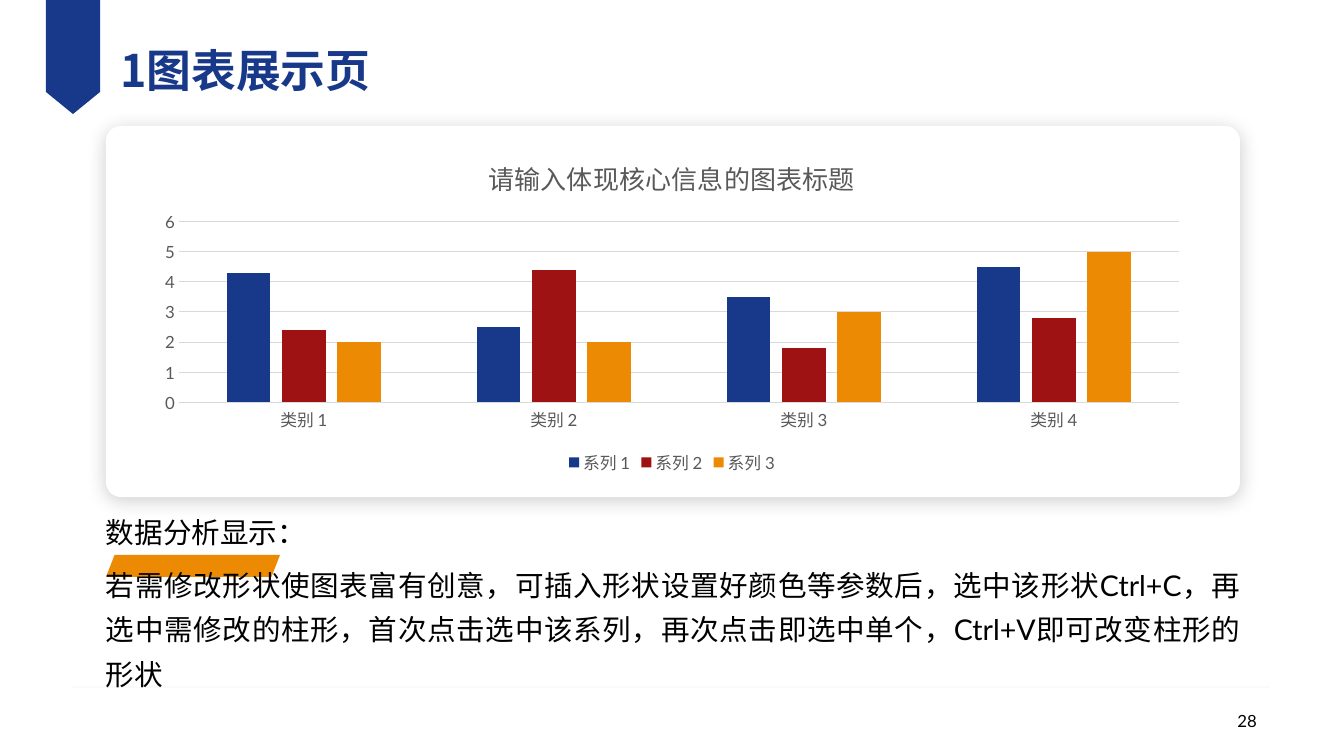
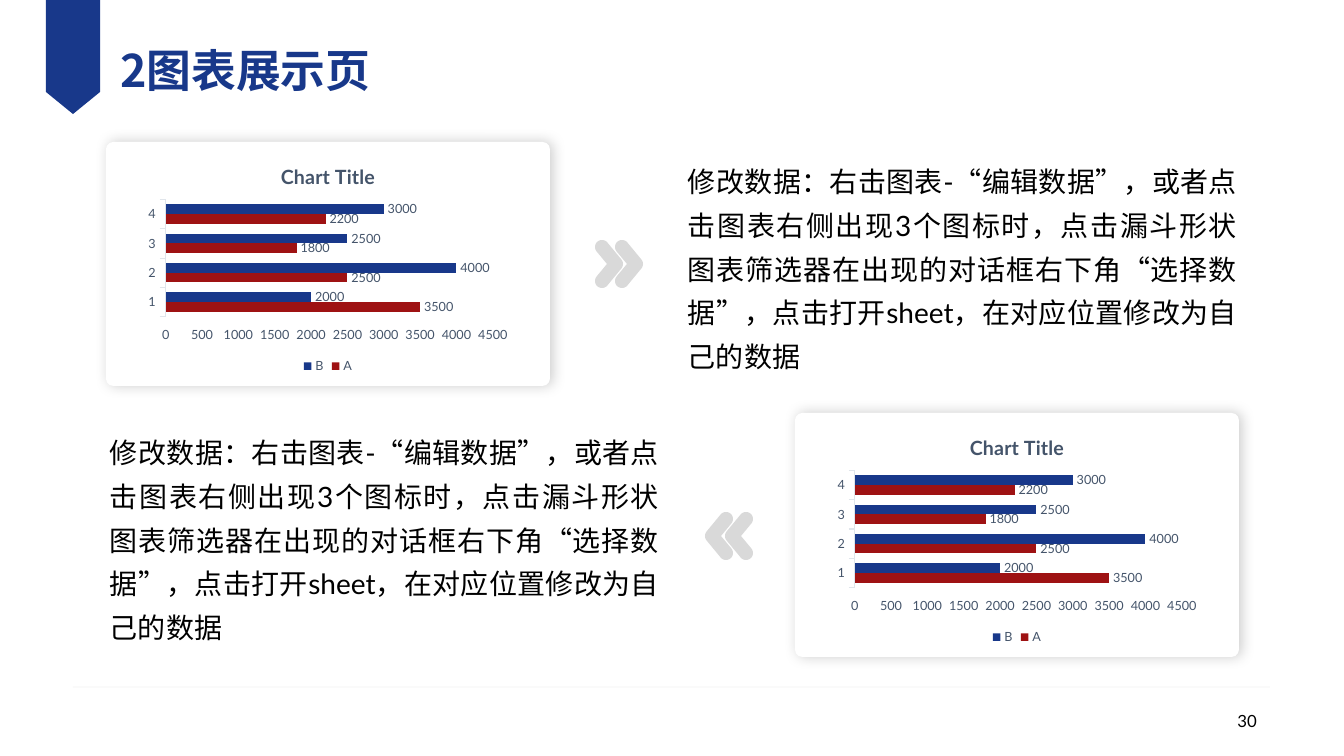
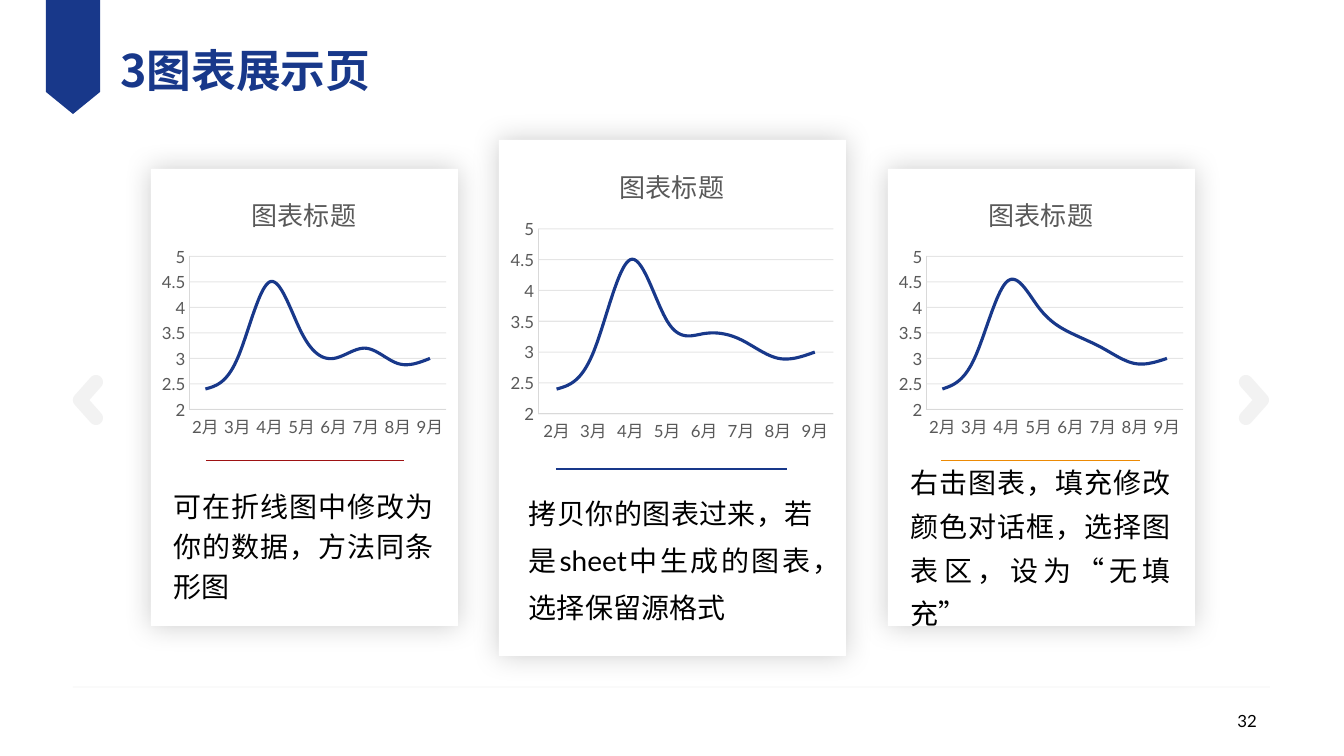
import math
from lxml import etree
from pptx import Presentation
from pptx import util as u
from pptx.chart.data import CategoryChartData
from pptx.dml.color import RGBColor
from pptx.enum import chart as charts, shapes, text
from pptx.oxml.ns import qn

PX = 914400 / 100.8
COLORS = {
    "blue": "18388A", "red": "9E1213", "orange": "EC8A04", "white": "FFFFFF",
    "black": "000000", "gray": "595959", "slate": "44546A", "pale": "E0E5EB",
    "grid": "D9D9D9", "footer": "BFBFBF", "faint": "808080", "arrow": "F2F2F2",
}
BODY, HEADING = "Lato", "Noto Sans CJK SC"
COLORS = {name: RGBColor.from_string(value) for name, value in COLORS.items()}


def px(*lengths):
    return [u.Emu(round(length * PX)) for length in lengths]


def style_line(line, color, width, alpha=100):
    line.color.rgb = COLORS[color]
    line.width = u.Pt(width)
    if alpha < 100:
        value = next(line._get_or_add_ln().iter(qn("a:srgbClr")))
        etree.SubElement(value, qn("a:alpha"), val=str(alpha * 1000))


presentation = Presentation()
presentation.slide_width, presentation.slide_height = px(1344, 756)
columns, bars, lines = slides = [
    presentation.slides.add_slide(presentation.slide_layouts[6]) for _ in range(3)
]

outlines = []
rules = [(slide, 73, 1270, 687, "footer", 0.25, 47) for slide in slides]
labels = []
for number, (slide, page) in enumerate(zip(slides, (28, 30, 32)), 1):
    outlines.append((slide, "blue", [(46, 0), (100, 0), (100, 92), (73, 114), (46, 92)]))
    labels.append((slide, (120, 26, 900, 87), [f"{number}图表展示页"], 32, 1, "left"))
    labels.append((slide, (965, 701, 292, 40), [str(page)], 12, 1, "right"))

chevrons = [
    (bars, 595, 240, 28, 48, 1, "grid"), (bars, 615, 240, 28, 48, 1, "grid"),
    (bars, 705, 512, 28, 48, -1, "grid"), (bars, 725, 512, 28, 48, -1, "grid"),
    (lines, 73, 375, 30, 50, -1, "arrow"), (lines, 1239, 375, 30, 50, 1, "arrow"),
]
radius = 7
for slide, left, top, width, height, direction, color in chevrons:
    reach = width / 2 - radius
    rise = height / 2 - radius
    slope = round(math.degrees(math.atan2(2 * reach, rise)))
    points = []
    for x, y, start, stop in (
        (-reach, -rise, -180 - slope, -slope),
        (reach, 0, -slope, slope),
        (-reach, rise, slope, 180 + slope),
    ):
        for step in range(13):
            angle = math.radians(start + (stop - start) * step / 12)
            points.append((x + radius * math.cos(angle), y + radius * math.sin(angle)))
    points.append((reach - radius / math.cos(math.radians(slope)), 0))
    outlines.append((slide, color, [
        (left + width / 2 + direction * x, top + height / 2 + y) for x, y in points
    ]))

for slide, color, points in outlines:
    points = [px(*point) for point in points]
    builder = slide.shapes.build_freeform(*points[0], scale=1.0)
    builder.add_line_segments(points[1:], close=True)
    shape = builder.convert_to_shape()
    shape.shadow.inherit = False
    shape.fill.solid()
    shape.fill.fore_color.rgb = COLORS[color]
    shape.line.fill.background()

COLUMN_STYLE = {
    "type": charts.XL_CHART_TYPE.COLUMN_CLUSTERED, "title": 18.6, "bold": False,
    "size": 12, "text": "gray", "axis": "grid", "grid": ("grid", 0.75),
    "legend": True, "gap": 219, "overlap": -27, "inset": (38, 13, 40, 18),
    "card": shapes.MSO_SHAPE.ROUNDED_RECTANGLE, "corner": 0.04, "shadow": (14, 3, 90),
}
BAR_STYLE = {
    "type": charts.XL_CHART_TYPE.BAR_CLUSTERED, "title": 14, "bold": True,
    "size": 9, "text": "slate", "axis": "pale", "grid": None,
    "legend": True, "gap": 100, "overlap": 0, "inset": (35, 7, 35, 8),
    "card": shapes.MSO_SHAPE.ROUNDED_RECTANGLE, "corner": 0.03, "shadow": (10, 2, 0),
}
LINE_STYLE = {
    "type": charts.XL_CHART_TYPE.LINE, "title": 18.6, "bold": False,
    "size": 12, "text": "gray", "axis": "grid", "grid": ("faint", 0.75, 20),
    "legend": False, "inset": (5, 8, 6, 0),
    "card": shapes.MSO_SHAPE.RECTANGLE, "corner": None, "shadow": (20, 0, 0),
}
column_series = [
    ("系列 1", (4.3, 2.5, 3.5, 4.5), "blue"),
    ("系列 2", (2.4, 4.4, 1.8, 2.8), "red"),
    ("系列 3", (2, 2, 3, 5), "orange"),
]
bar_series = [
    ("A", (3500, 2500, 1800, 2200), "red"),
    ("B", (2000, 4000, 2500, 3000), "blue"),
]
panels = [(columns, COLUMN_STYLE, (106, 126, 1134, 371), 340, "请输入体现核心信息的图表标题",
           [f"类别 {n}" for n in range(1, 5)], column_series)]
for left, top in ((106, 142), (795, 413)):
    panels.append((bars, BAR_STYLE, (left, top, 444, 244), 229, "Chart Title",
                   ["1", "2", "3", "4"], bar_series))
for box, height, middle in (
    ((151, 169, 307, 457), 267, (3.5, 3)),
    ((499, 140, 347, 516), 301, (3.5, 3.3)),
    ((888, 169, 307, 457), 267, (4, 3.5)),
):
    panels.append((lines, LINE_STYLE, box, height, "图表标题", [f"{n}月" for n in range(2, 10)],
                   [("Series 1", (2.4, 3, 4.5, *middle, 3.2, 2.9, 3), "blue")]))

for slide, style, box, chart_height, title, categories, series_list in panels:
    card = slide.shapes.add_shape(style["card"], *px(*box))
    if style["corner"]:
        card.adjustments[0] = style["corner"]
    card.fill.solid()
    card.fill.fore_color.rgb = COLORS["white"]
    card.line.fill.background()
    card.shadow.inherit = False
    blur, distance, angle = style["shadow"]
    shadow = etree.SubElement(
        card._element.spPr.find(qn("a:effectLst")), qn("a:outerShdw"),
        blurRad=str(u.Pt(blur)), dist=str(u.Pt(distance)), dir=str(angle * 60000),
        algn="ctr", rotWithShape="0")
    shade = etree.SubElement(shadow, qn("a:srgbClr"), val=str(COLORS["black"]))
    etree.SubElement(shade, qn("a:alpha"), val="20000")

    data = CategoryChartData()
    data.categories = categories
    for name, values, _ in series_list:
        data.add_series(name, values)
    left, top, width, _ = box
    inset_left, inset_top, inset_right, _ = style["inset"]
    chart = slide.shapes.add_chart(style["type"], *px(
        left + inset_left, top + inset_top, width - inset_left - inset_right, chart_height,
    ), data).chart
    chart.font.name = BODY
    chart.font.size = u.Pt(style["size"])
    chart.font.color.rgb = COLORS[style["text"]]
    chart.has_title = True
    chart.chart_title.include_in_layout = False
    chart.chart_title.text_frame.text = title
    font = chart.chart_title.text_frame.paragraphs[0].font
    font.name, font.size, font.bold = BODY, u.Pt(style["title"]), style["bold"]
    font.color.rgb = COLORS[style["text"]]
    chart.has_legend = style["legend"]
    if chart.has_legend:
        chart.legend.position = charts.XL_LEGEND_POSITION.BOTTOM
        chart.legend.include_in_layout = False

    is_bar, is_line = style is BAR_STYLE, style is LINE_STYLE
    tick = charts.XL_TICK_MARK.OUTSIDE if is_bar else charts.XL_TICK_MARK.NONE
    for axis in (chart.category_axis, chart.value_axis):
        axis.major_tick_mark = tick
        axis.minor_tick_mark = charts.XL_TICK_MARK.NONE
        style_line(axis.format.line, style["axis"], 0.75)
    axis.has_major_gridlines = bool(style["grid"])
    if style["grid"]:
        style_line(axis.major_gridlines.format.line, *style["grid"])
    if is_line:
        axis.minimum_scale = 2
    else:
        axis.format.line.fill.background()

    plot = chart.plots[0]
    plot.vary_by_categories = False
    if not is_line:
        plot.gap_width, plot.overlap = style["gap"], style["overlap"]
    if is_bar:
        plot.has_data_labels = True
        plot.data_labels.show_value = True
        plot.data_labels.position = charts.XL_LABEL_POSITION.OUTSIDE_END
    for series, (_, _, color) in zip(plot.series, series_list):
        if is_line:
            series.smooth = True
            style_line(series.format.line, color, 2.25)
        else:
            series.format.fill.solid()
            series.format.fill.fore_color.rgb = COLORS[color]

highlight = columns.shapes.add_shape(shapes.MSO_SHAPE.PARALLELOGRAM, *px(106, 555, 174, 22))
highlight.adjustments[0] = 0.39
highlight.shadow.inherit = False
highlight.fill.solid()
highlight.fill.fore_color.rgb = COLORS["orange"]
highlight.line.fill.background()

rules += [
    (lines, 206, 404, 461, "red", 0.75),
    (lines, 556, 787, 469, "blue", 0.75),
    (lines, 941, 1140, 461, "orange", 0.75),
]
for slide, start, stop, y, *stroke in rules:
    rule = slide.shapes.add_connector(shapes.MSO_CONNECTOR.STRAIGHT, *px(start, y, stop, y))
    style_line(rule.line, *stroke)
    etree.SubElement(rule._element.spPr, qn("a:effectLst"))

edit_hint = (
    "修改数据：右击图表-“编辑数据”，或者点击图表右侧出现3个图标时，点击漏斗形状图表筛选器"
    "在出现的对话框右下角“选择数据”，点击打开sheet，在对应位置修改为自己的数据"
)
analysis = [
    "数据分析显示：",
    "若需修改形状使图表富有创意，可插入形状设置好颜色等参数后，选中该形状Ctrl+C，再选中需修改的柱形，"
    "首次点击选中该系列，再次点击即选中单个，Ctrl+V即可改变柱形的形状",
]
labels += [
    (columns, (106, 518, 1134, 159), analysis, 20.4, 1.3, "justify"),
    (bars, (688, 142, 549, 244), [edit_hint], 20, 1.3, "justify"),
    (bars, (110, 413, 549, 244), [edit_hint], 20, 1.3, "justify"),
    (lines, (174, 477, 260, 132), ["可在折线图中修改为你的数据，方法同条形图"], 20, 1.2, "justify"),
    (lines, (529, 480, 284, 147), ["拷贝你的图表过来，若是sheet中生成的图表，选择保留源格式"],
     20, 1.4, "justify"),
    (lines, (911, 477, 260, 132), ["右击图表，填充修改颜色对话框，选择图表区，设为“无填充”"],
     20, 1.3, "justify"),
]
for slide, box, paragraphs, size, spacing, align in labels:
    is_title = size == 32
    frame = slide.shapes.add_textbox(*px(*box)).text_frame
    frame.word_wrap = True
    frame.vertical_anchor = text.MSO_ANCHOR.MIDDLE
    frame.margin_left = frame.margin_right = frame.margin_top = frame.margin_bottom = 0
    frame.text = "\n".join(paragraphs)
    for paragraph in frame.paragraphs:
        paragraph.alignment = text.PP_ALIGN[align.upper()]
        paragraph.line_spacing = spacing
        paragraph.font.name = HEADING if is_title else BODY
        paragraph.font.size = u.Pt(size)
        paragraph.font.bold = is_title
        paragraph.font.color.rgb = COLORS["blue" if is_title else "black"]
    for paragraph in frame.paragraphs[:-1]:
        paragraph.space_after = u.Pt(6)

presentation.save("out.pptx")
